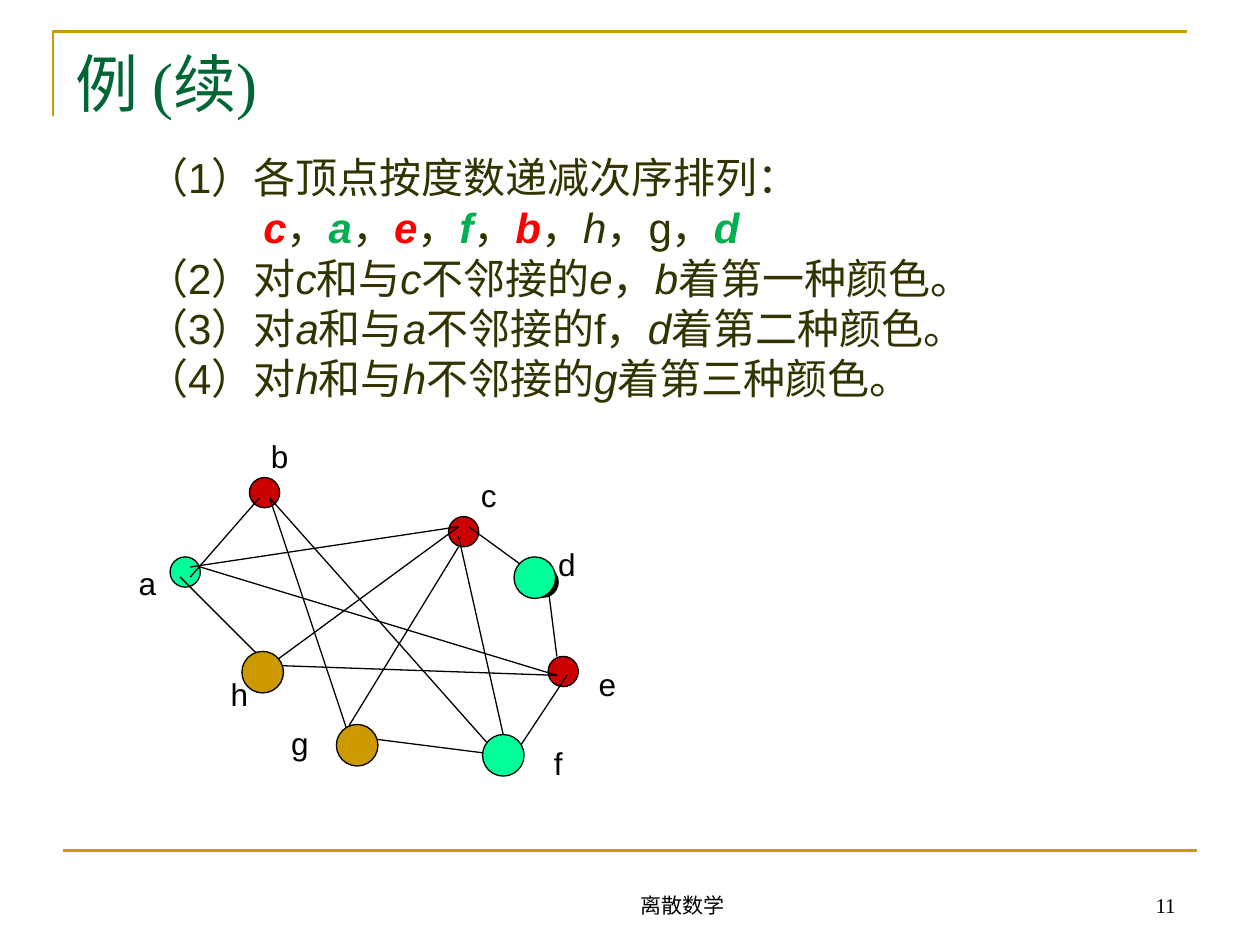
from lxml.etree import SubElement
from pptx import Presentation
from pptx.dml.color import RGBColor
from pptx.enum.shapes import MSO_CONNECTOR, MSO_SHAPE
from pptx.enum.text import MSO_ANCHOR, MSO_AUTO_SIZE, PP_ALIGN
from pptx.oxml.ns import qn
from pptx.util import Inches, Pt

GOLD, BLACK, RED, MINT = "CC9900", "000000", "CC0000", "00FF99"
OLIVE, TITLE_GREEN = "333300", "006633"
FIRST_COLOUR, SECOND_COLOUR = "FF0000", "00B050"
SERIF, SANS = "Times New Roman", "Arial"

# Text between asterisks is italic.
STEPS = [
    "（2）对*c*和与*c*不邻接的*e*，*b*着第一种颜色。",
    "（3）对*a*和与*a*不邻接的f，*d*着第二种颜色。",
    "（4）对*h*和与*h*不邻接的*g*着第三种颜色。",
]
DEGREE_ORDER = [
    ("c", FIRST_COLOUR), ("a", SECOND_COLOUR), ("e", FIRST_COLOUR),
    ("f", SECOND_COLOUR), ("b", FIRST_COLOUR),
]

# Left, top, diameter, fill
VERTICES_BEHIND = [
    (1.98, 3.79, 0.24, RED), (1.35, 4.42, 0.24, MINT), (3.56, 4.1, 0.24, RED),
    (4.35, 5.21, 0.24, RED), (4.19, 4.5, 0.24, BLACK),
]
VERTICES_IN_FRONT = [
    (3.83, 5.83, 0.33, MINT), (4.08, 4.42, 0.33, MINT),
    (2.67, 5.75, 0.33, GOLD), (1.92, 5.17, 0.33, GOLD),
]
EDGES = [
    ((2.06, 3.95), (1.51, 4.58)), ((1.43, 4.58), (2.06, 5.21)),
    ((2.14, 3.95), (3.95, 5.99)), ((1.59, 4.5), (4.42, 5.36)),
    ((2.14, 5.28), (4.42, 5.36)), ((2.14, 3.95), (2.77, 5.84)),
    ((2.77, 5.84), (3.95, 5.99)), ((4.5, 5.36), (4.03, 6.07)),
    ((4.35, 4.66), (4.42, 5.21)), ((4.27, 4.58), (3.72, 4.18)),
    ((3.64, 4.26), (4.03, 5.99)), ((3.64, 4.18), (2.14, 5.28)),
    ((3.64, 4.18), (1.51, 4.5)), ((3.64, 4.34), (2.77, 5.76)),
]
LABELS = {
    "a": (1, 4.43), "b": (2.05, 3.42), "h": (1.73, 5.31), "c": (3.71, 3.73),
    "d": (4.33, 4.28), "e": (4.65, 5.23), "f": (4.26, 5.86), "g": (2.21, 5.7),
}


def colour(value):
    return RGBColor.from_string(value)


def place(shape, left, top, width, height):
    shape.left, shape.top = Inches(left), Inches(top)
    shape.width, shape.height = Inches(width), Inches(height)


def add_span(paragraph, text, font=SANS, size=24, fill=OLIVE, bold=False, italic=False):
    span = paragraph.add_run()
    span.text = text
    span.font.name, span.font.size = font, Pt(size)
    span.font.bold, span.font.italic = bold, italic
    span.font.color.rgb = colour(fill)


def add_text(page, text, left, top, width, height, align=PP_ALIGN.CENTER,
             anchor=MSO_ANCHOR.TOP, wrap=True, **style):
    box = page.shapes.add_textbox(*map(Inches, (left, top, width, height)))
    box.text_frame.word_wrap = wrap
    box.text_frame.vertical_anchor = anchor
    paragraph = box.text_frame.paragraphs[0]
    paragraph.alignment = align
    add_span(paragraph, text, **style)


def add_line(page, start, end, fill=BLACK, width=0.75):
    line = page.shapes.add_connector(
        MSO_CONNECTOR.STRAIGHT, *map(Inches, (*start, *end)))
    line.line.color.rgb = colour(fill)
    line.line.width = Pt(width)
    SubElement(line._element.spPr, qn("a:effectLst"))


def add_vertex(page, left, top, diameter, fill):
    vertex = page.shapes.add_shape(
        MSO_SHAPE.OVAL, *map(Inches, (left, top, diameter, diameter)))
    vertex.shadow.inherit = False
    vertex.fill.solid()
    vertex.fill.fore_color.rgb = colour(fill)
    vertex.line.color.rgb = colour(BLACK)
    vertex.line.width = Pt(0.75)


def add_frame(page):
    builder = page.shapes.build_freeform(Inches(0.42), Inches(0.92))
    builder.add_line_segments(
        [(Inches(0.42), Inches(0.25)), (Inches(9.42), Inches(0.25))], close=False)
    corner = builder.convert_to_shape()
    corner.shadow.inherit = False
    corner.fill.background()
    corner.line.color.rgb = colour(GOLD)
    corner.line.width = Pt(1.5)
    add_line(page, (0.5, 6.75), (9.5, 6.75), GOLD, 1.5)


def fill_title(title):
    place(title, 0.5, 0.3, 9, 1.25)
    frame = title.text_frame
    frame.auto_size = MSO_AUTO_SIZE.NONE
    frame.vertical_anchor = MSO_ANCHOR.TOP
    frame.paragraphs[0].alignment = PP_ALIGN.LEFT
    add_span(frame.paragraphs[0], "例 (续)", font=SERIF, size=36, fill=TITLE_GREEN)


def format_item(paragraph, margin=0.88, indent=-0.88):
    """Set the indents and take away the bullet and the spacing."""
    properties = paragraph._p.get_or_add_pPr()
    properties.set("marL", str(Inches(margin)))
    properties.set("indent", str(Inches(indent)))
    SubElement(properties, qn("a:buNone"))
    paragraph.space_before = Pt(0)


def fill_body(body):
    place(body, 1.06, 1.15, 7.95, 2.12)
    frame = body.text_frame
    frame.word_wrap = True
    frame.auto_size = MSO_AUTO_SIZE.SHAPE_TO_FIT_TEXT
    heading = frame.paragraphs[0]
    format_item(heading)
    add_span(heading, "（1）各顶点按度数递减次序排列：")

    order = frame.add_paragraph()
    format_item(order, margin=0.93, indent=0)
    for letter, fill in DEGREE_ORDER:
        add_span(order, letter, fill=fill, bold=True, italic=True)
        add_span(order, "，")
    add_span(order, "h", italic=True)
    add_span(order, "，g，")
    add_span(order, "d", fill=SECOND_COLOUR, bold=True, italic=True)

    for step in STEPS:
        paragraph = frame.add_paragraph()
        format_item(paragraph)
        for index, part in enumerate(step.split("*")):
            add_span(paragraph, part, italic=index % 2 == 1)


def add_graph(page):
    for vertex in VERTICES_BEHIND:
        add_vertex(page, *vertex)
    for start, end in EDGES:
        add_line(page, start, end)
    for letter, (left, top) in LABELS.items():
        add_text(page, letter, left, top, 0.34, 0.4, wrap=False, size=18, fill=BLACK)
    for vertex in VERTICES_IN_FRONT:
        add_vertex(page, *vertex)


def add_footer(page):
    style = dict(anchor=MSO_ANCHOR.BOTTOM, font=SERIF, size=12, fill=BLACK)
    add_text(page, "离散数学", 3.83, 6.83, 3.17, 0.5, **style)
    add_text(page, "11", 8.33, 6.83, 1.1, 0.5, align=PP_ALIGN.RIGHT, **style)


def main():
    deck = Presentation()
    deck.slide_width, deck.slide_height = Inches(10), Inches(7.5)
    page = deck.slides.add_slide(deck.slide_layouts[1])
    add_frame(page)
    fill_title(page.shapes.title)
    fill_body(page.placeholders[1])
    add_footer(page)
    add_graph(page)
    deck.save("out.pptx")


if __name__ == "__main__":
    main()
